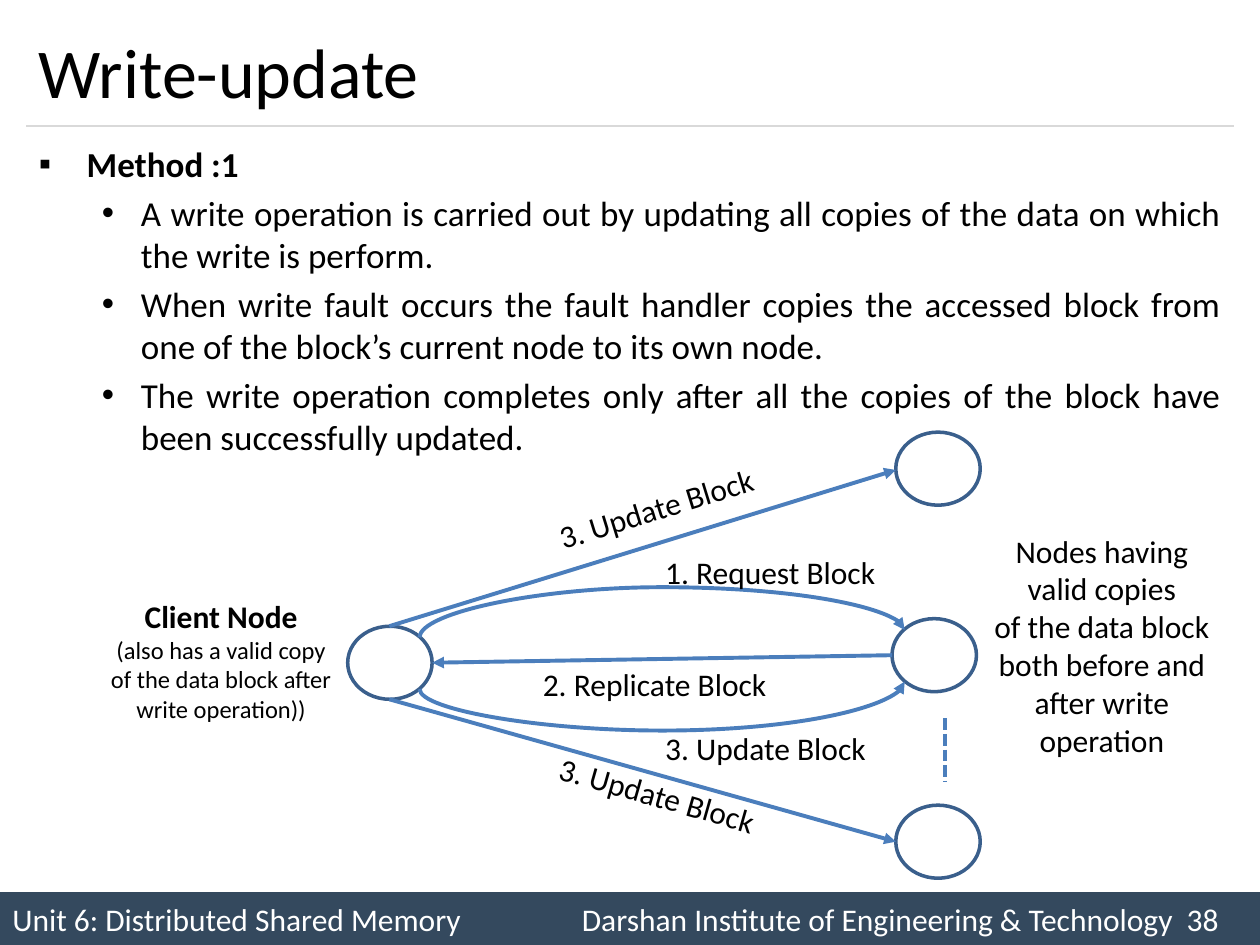
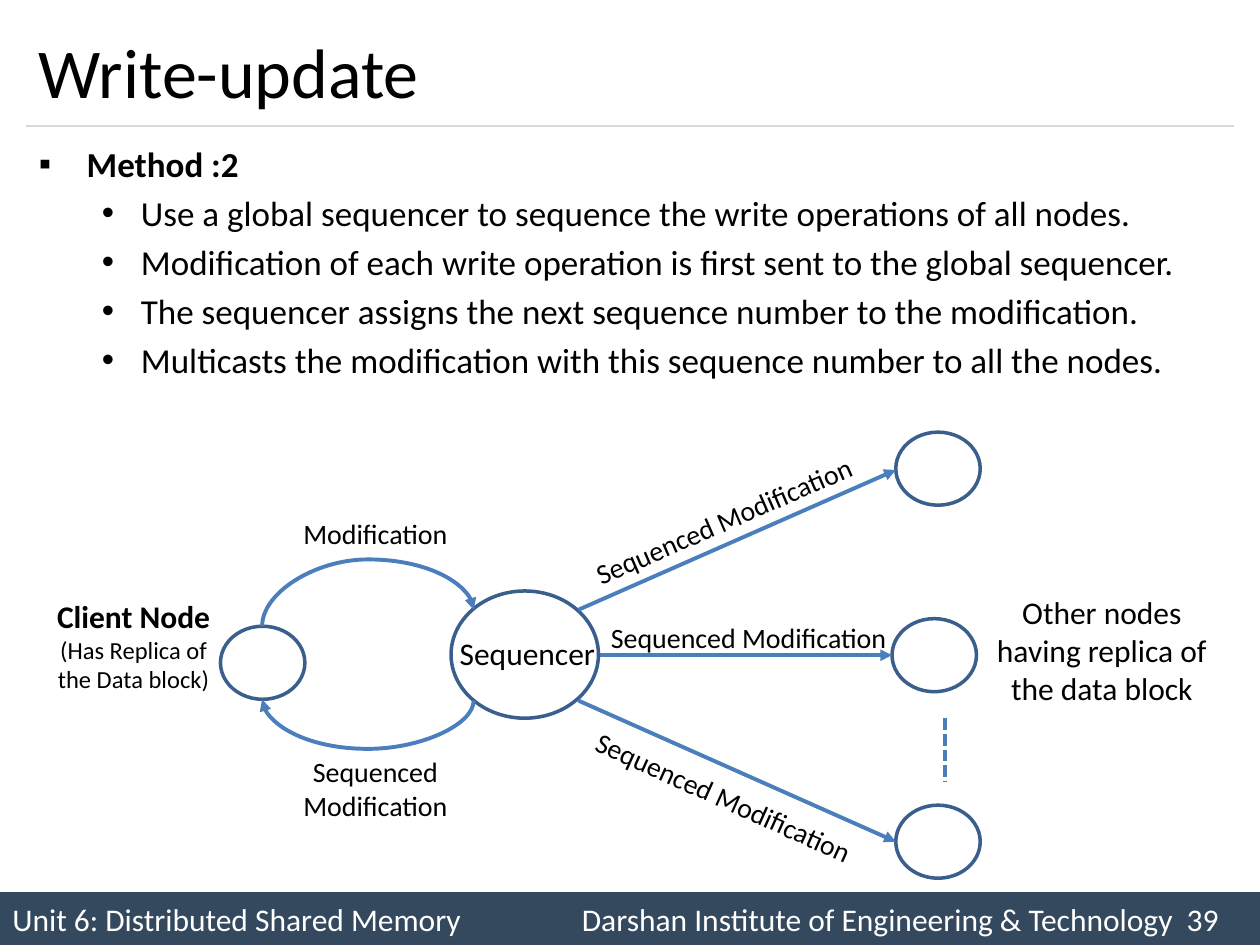
"""Build two slides that explain the write-update protocol."""
from lxml import etree
from pptx import Presentation
from pptx.dml.color import RGBColor
from pptx.enum.dml import MSO_LINE
from pptx.enum.shapes import MSO_CONNECTOR, MSO_SHAPE
from pptx.enum.text import MSO_ANCHOR, MSO_AUTO_SIZE, PP_ALIGN
from pptx.oxml.ns import qn
from pptx.util import Inches, Pt

STRAIGHT, CURVE = MSO_CONNECTOR.STRAIGHT, MSO_CONNECTOR.CURVE
OVAL, RECTANGLE = MSO_SHAPE.OVAL, MSO_SHAPE.RECTANGLE
LEFT, CENTER, JUSTIFY = PP_ALIGN.LEFT, PP_ALIGN.CENTER, PP_ALIGN.JUSTIFY
MIDDLE = MSO_ANCHOR.MIDDLE
GROW = MSO_AUTO_SIZE.SHAPE_TO_FIT_TEXT
DASHED = MSO_LINE.SQUARE_DOT

FONT = "Calibri"
COLORS = {
    "text": "000000",
    "band": "34495E",
    "band_text": "FFFFFF",
    "rule": "D9D9D9",
    "node": "3A5F8C",
    "arrow": "4B7EBC",
}
NODE_SIZE = (0.67, 0.58)
COPY_NODES = [(7.11, 3.43), (7.08, 4.91), (7.11, 6.39)]


def color(name):
    """Return the named colour."""
    return RGBColor.from_string(COLORS[name])


def add_span(para, text, size, bold=False, ink="text"):
    """Add one formatted run to a paragraph."""
    span = para.add_run()
    span.text = text
    span.font.name = FONT
    span.font.size = Pt(size)
    span.font.bold = bold
    span.font.color.rgb = color(ink)


def next_para(frame, index):
    """Return the first paragraph of a frame, or a new one after it."""
    return frame.add_paragraph() if index else frame.paragraphs[0]


def add_child(parent, tag, **attributes):
    """Append a drawing element with attributes."""
    return etree.SubElement(parent, qn(tag), attributes)


def add_box(page, place, wrap=True):
    """Add a text box and return its frame."""
    box = page.shapes.add_textbox(*map(Inches, place))
    box.text_frame.word_wrap = wrap
    return box.text_frame


def add_caption(page, place, lines):
    """Add centred lines, each given as text, size and bold."""
    frame = add_box(page, place)
    frame.auto_size = GROW
    for index, line in enumerate(lines):
        para = next_para(frame, index)
        para.alignment = CENTER
        add_span(para, *line)


def add_label(page, place, lines, size=18, rotation=0, align=LEFT):
    """Add an unwrapped label, turned by the given angle."""
    box = page.shapes.add_textbox(*map(Inches, place))
    box.rotation = rotation
    frame = box.text_frame
    frame.word_wrap = False
    frame.auto_size = GROW
    for index, text in enumerate(lines):
        para = next_para(frame, index)
        para.alignment = align
        add_span(para, text, size)


def add_line(page, start, end, ink="arrow", width=2.25, kind=STRAIGHT, dash=None):
    """Add a line without a shadow."""
    line = page.shapes.add_connector(kind, *map(Inches, (*start, *end)))
    line.line.color.rgb = color(ink)
    line.line.width = Pt(width)
    if dash:
        line.line.dash_style = dash
    add_child(line._element.spPr, "a:effectLst")
    return line


def add_arrow(page, start, end, kind=STRAIGHT):
    """Add a line with an arrowhead at its end."""
    arrow = add_line(page, start, end, kind=kind)
    add_child(arrow.line._get_or_add_ln(), "a:tailEnd", type="triangle")
    return arrow


def add_curved_arrow(page, start, end, crest):
    """Add an arrow that bows up or down to the height of its crest."""
    (x1, y1), (x2, y2) = start, end
    middle_x, middle_y = (x1 + x2) / 2, (y1 + y2) / 2
    across, down = x1 - middle_x, y1 - middle_y
    arrow = add_arrow(page, (middle_x + down, middle_y - across),
                      (middle_x - down, middle_y + across), CURVE)
    properties = arrow._element.spPr
    properties.find(qn("a:xfrm")).set("rot", "5400000")
    bow = round((crest - y1) / (y2 - y1) * 100000)
    guides = properties.find(qn("a:prstGeom")).find(qn("a:avLst"))
    add_child(guides, "a:gd", name="adj1", fmla=f"val {bow}")


def add_node(page, corner, size=NODE_SIZE):
    """Add an outlined ellipse."""
    node = page.shapes.add_shape(OVAL, *map(Inches, (*corner, *size)))
    node.shadow.inherit = False
    node.fill.background()
    node.line.color.rgb = color("node")
    node.line.width = Pt(2)


def add_footer(page, number):
    """Add the band with unit, institute and slide number."""
    band = page.shapes.add_shape(RECTANGLE, *map(Inches, (0, 7.08, 10, 0.42)))
    band.shadow.inherit = False
    band.fill.solid()
    band.fill.fore_color.rgb = color("band")
    band.line.fill.background()
    band.text_frame.vertical_anchor = MIDDLE
    para = band.text_frame.paragraphs[0]
    para.alignment = LEFT
    tabs = add_child(para._p.get_or_add_pPr(), "a:tabLst")
    for stop in (4.52, 9.32):
        add_child(tabs, "a:tab", pos=str(Inches(stop)), algn="l")
    add_span(para, "Unit 6: Distributed Shared Memory\t"
                   "Darshan Institute of Engineering & Technology\t"
                   f"{number}", 18, ink="band_text")


def add_title(page, text):
    """Add the title and the rule below it."""
    add_line(page, (0.21, 1), (9.79, 1), "rule", 0.75)
    frame = add_box(page, (0.21, 0.12, 9.58, 0.88))
    frame.vertical_anchor = MIDDLE
    frame.paragraphs[0].alignment = JUSTIFY
    add_span(frame.paragraphs[0], text, 40)


def add_bullets(page, heading, points):
    """Add a bold heading with bulleted points below it."""
    frame = add_box(page, (0.21, 1.08, 9.58, 2.64))
    for index, text in enumerate([heading, *points]):
        para = next_para(frame, index)
        para.alignment = JUSTIFY
        margin, hanging, mark = (0.81, 0.31, "•") if index else (0.38, 0.38, "▪")
        if index:
            para.level = 1
            para.space_before = Pt(4)
        properties = para._p.get_or_add_pPr()
        properties.set("marL", str(Inches(margin)))
        properties.set("indent", str(-Inches(hanging)))
        add_child(properties, "a:buFont", typeface="Arial")
        add_child(properties, "a:buChar", char=mark)
        add_span(para, text, 20, bold=index == 0)


def add_page(deck, number, heading, points):
    """Add a slide with the frame, the bullets and the nodes that hold copies."""
    page = deck.slides.add_slide(deck.slide_layouts[6])
    add_footer(page, number)
    add_title(page, "Write-update")
    add_bullets(page, heading, points)
    for corner in COPY_NODES:
        add_node(page, corner)
    add_line(page, (7.5, 5.7), (7.5, 6.21), dash=DASHED)
    return page


def draw_direct_update(page):
    """Draw the client that updates every copy itself."""
    add_node(page, (2.76, 4.97))
    add_curved_arrow(page, (3.33, 5.06), (7.18, 5), 4.66)
    add_curved_arrow(page, (3.33, 5.47), (7.18, 5.41), 5.8)
    for start, end in [((7.08, 5.2), (3.43, 5.26)),
                       ((3.09, 4.97), (7.11, 3.73)),
                       ((3.09, 5.55), (7.11, 6.68))]:
        add_arrow(page, start, end)
    add_label(page, (5.18, 4.34, 1.89, 0.4), ["1. Request Block"])
    add_label(page, (4.21, 5.23, 2, 0.4), ["2. Replicate Block"])
    for left, top, rotation in [(5.18, 5.74, 0), (4.32, 6.11, 16), (4.31, 3.83, 342.8)]:
        add_label(page, (left, top, 1.81, 0.4), ["3. Update Block"], rotation=rotation)
    add_caption(page, (0.75, 4.69, 2.01, 1.11), [
        ("Client Node", 18, True),
        ("(also has a valid copy", 14),
        ("of the data block after", 14),
        ("write operation))", 14),
    ])
    add_caption(page, (7.74, 4.17, 2.01, 1.92), [
        ("Nodes having valid copies", 18),
        ("of the data block both before and", 18),
        ("after write operation", 18),
    ])


def draw_sequenced_update(page):
    """Draw the sequencer between the client and the other nodes."""
    add_node(page, (1.75, 4.97))
    add_node(page, (3.58, 4.69), (1.17, 1.01))
    add_curved_arrow(page, (2.08, 4.97), (3.76, 4.84), 4.44)
    add_curved_arrow(page, (3.76, 5.56), (2.08, 5.55), 5.95)
    for start, end in [((4.76, 5.2), (7.08, 5.2)),
                       ((4.59, 4.84), (7.11, 3.73)),
                       ((4.59, 5.56), (7.11, 6.68))]:
        add_arrow(page, start, end)
    add_label(page, (3.55, 4.98, 1.36, 0.4), ["Sequencer"])
    for left, top, rotation in [(4.55, 3.94, 336.5), (4.75, 4.88, 0), (4.55, 6.15, 24.2)]:
        add_label(page, (left, top, 2.42, 0.37), ["Sequenced Modification"], 16, rotation)
    add_label(page, (2.3, 4.05, 1.36, 0.37), ["Modification"], 16, align=CENTER)
    add_label(page, (2.3, 5.94, 1.36, 0.64), ["Sequenced", "Modification"], 16,
              align=CENTER)
    add_caption(page, (0.25, 4.69, 1.62, 0.88), [
        ("Client Node", 18, True),
        ("(Has Replica of the Data block)", 14),
    ])
    add_caption(page, (7.74, 4.66, 2.01, 1.01), [
        ("Other nodes having replica of the data block", 18),
    ])


def main():
    """Build and save the deck."""
    deck = Presentation()
    deck.slide_width, deck.slide_height = Inches(10), Inches(7.5)
    draw_direct_update(add_page(deck, 38, "Method :1", [
        "A write operation is carried out by updating all copies of the data on "
        "which the write is perform.",
        "When write fault occurs the fault handler copies the accessed block from "
        "one of the block’s current node to its own node.",
        "The write operation completes only after all the copies of the block have "
        "been successfully updated.",
    ]))
    draw_sequenced_update(add_page(deck, 39, "Method :2", [
        "Use a global sequencer to sequence the write operations of all nodes.",
        "Modification of each write operation is first sent to the global sequencer.",
        "The sequencer assigns the next sequence number to the modification.",
        "Multicasts the modification with this sequence number to all the nodes.",
    ]))
    deck.save("out.pptx")


if __name__ == "__main__":
    main()
